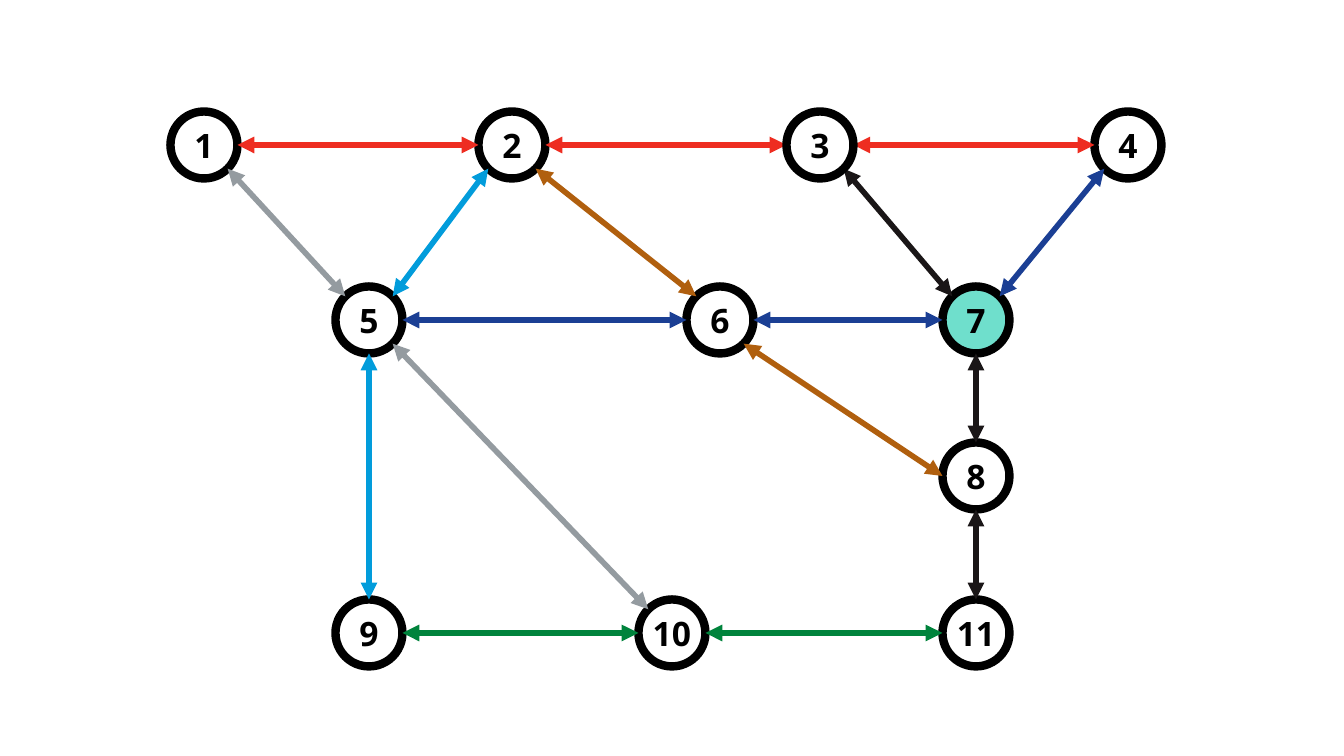
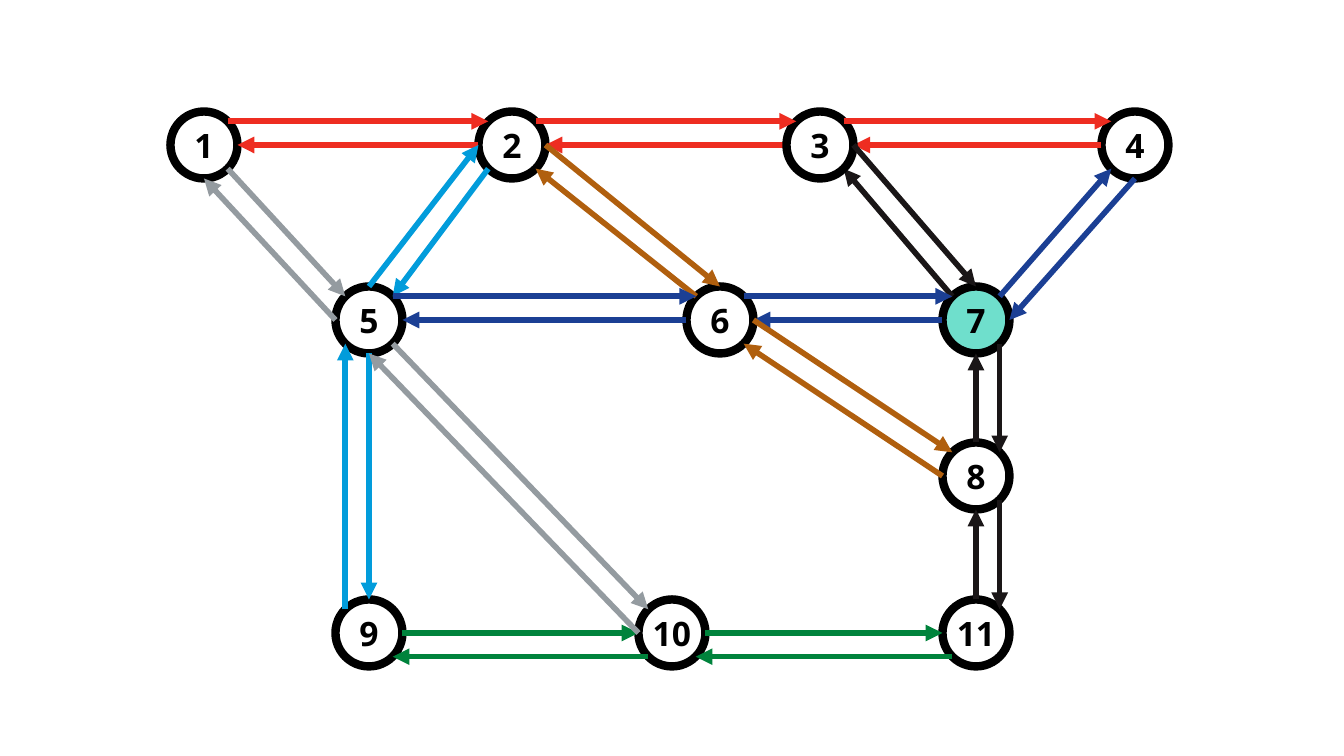
from math import cos, radians, sin

from lxml.etree import SubElement
from pptx import Presentation
from pptx.dml.color import RGBColor
from pptx.enum.shapes import MSO_CONNECTOR, MSO_SHAPE
from pptx.enum.text import MSO_ANCHOR, PP_ALIGN
from pptx.oxml.ns import qn
from pptx.util import Pt

RED = RGBColor(0xEE, 0x2D, 0x21)
GRAY = RGBColor(0x94, 0x9B, 0xA0)
SKY = RGBColor(0x02, 0x9C, 0xDB)
NAVY = RGBColor(0x1B, 0x3F, 0x94)
GREEN = RGBColor(0x00, 0x83, 0x3C)
CHARCOAL = RGBColor(0x1A, 0x16, 0x17)
BROWN = RGBColor(0xB0, 0x5F, 0x0E)
TEAL = RGBColor(0x6F, 0xDF, 0xCC)
WHITE = RGBColor(0xFF, 0xFF, 0xFF)
BLACK = RGBColor(0x00, 0x00, 0x00)
FONT = "Open Sans"

# Station centres in pixels
STATIONS = {
    1: (204, 145), 2: (512, 145), 3: (820, 145), 4: (1128, 145),
    5: (369, 320), 6: (720, 320), 7: (976, 320), 8: (976, 476),
    9: (369, 633), 10: (672, 633), 11: (976, 633),
}
WIDER_STATIONS = {**STATIONS, 4: (1135, 145)}
HIGHLIGHTED = 7
RAISED = 3  # lies above the main lanes

# Start, end, colour, main lane (start to end), return lane (end to start)
ROUTES = [
    (2, 1, RED, ("W", "E"), ("NE", "NW")),
    (3, 2, RED, ("W", "E"), ("NE", "NW")),
    (4, 3, RED, ("W", "E"), ("NE", "NW")),
    (1, 5, GRAY, ("SE", "NW"), ("W", "S")),
    (5, 10, GRAY, ("SE", "NW"), ("W", "S")),
    (2, 5, SKY, ("SW", "NE"), ("N", "W")),
    (5, 9, SKY, ("S", "N"), ("NW", "SW")),
    (6, 5, NAVY, ("W", "E"), ("NE", "NW")),
    (7, 6, NAVY, ("W", "E"), ("NE", "NW")),
    (9, 10, GREEN, ("E", "W"), ("SW", "SE")),
    (10, 11, GREEN, ("E", "W"), ("SW", "SE")),
    (11, 8, CHARCOAL, ("N", "S"), ("SE", "NE")),
    (8, 7, CHARCOAL, ("N", "S"), ("SE", "NE")),
    (7, 3, CHARCOAL, ("NW", "SE"), ("E", "N")),
    (7, 4, NAVY, ("NE", "SW"), ("S", "E")),
    (8, 6, BROWN, ("W", "SE"), ("E", "NW")),
    (6, 2, BROWN, ("NW", "SE"), ("E", "N")),
]

SLIDE_WIDTH, SLIDE_HEIGHT = 1344, 756
DIAMETER = 67
COMPASS = ("E", "SE", "S", "SW", "W", "NW", "N", "NE")
ANGLES = {site: radians(45 * step) for step, site in enumerate(COMPASS)}


def emu(pixels):
    """Turn pixels into EMU."""
    return round(pixels * 914400 / 100.8)


def rim_point(centre, site):
    """Return the point of a station's rim in a compass direction, in EMU."""
    x, y = centre
    angle = ANGLES[site]
    return emu(x + DIAMETER / 2 * cos(angle)), emu(y + DIAMETER / 2 * sin(angle))


def add_station(slide, number, centre):
    """Draw a numbered circle around its centre."""
    left, top = (emu(value - DIAMETER / 2) for value in centre)
    shape = slide.shapes.add_shape(
        MSO_SHAPE.OVAL, left, top, emu(DIAMETER), emu(DIAMETER))
    shape.shadow.inherit = False
    shape.fill.solid()
    shape.fill.fore_color.rgb = TEAL if number == HIGHLIGHTED else WHITE
    shape.line.color.rgb = BLACK
    shape.line.width = Pt(6)
    frame = shape.text_frame
    frame.text = str(number)
    frame.word_wrap = False
    frame.vertical_anchor = MSO_ANCHOR.MIDDLE
    frame.margin_left = frame.margin_right = 0
    paragraph = frame.paragraphs[0]
    paragraph.alignment = PP_ALIGN.CENTER
    font = paragraph.runs[0].font
    font.name, font.size, font.bold = FONT, Pt(24), True
    font.color.rgb = BLACK


def add_arrow(slide, begin, end, color, two_way=False):
    """Draw an arrow to its end point, or to both points if two-way."""
    connector = slide.shapes.add_connector(MSO_CONNECTOR.STRAIGHT, *begin, *end)
    connector.line.color.rgb = color
    connector.line.width = Pt(4)
    line = connector.line._get_or_add_ln()
    for tag in ("a:headEnd", "a:tailEnd") if two_way else ("a:tailEnd",):
        SubElement(line, qn(tag)).set("type", "triangle")
    SubElement(connector._element.spPr, qn("a:effectLst"))


def add_network(presentation, stations, two_way):
    """Add a slide with one two-way arrow or two one-way arrows per route."""
    slide = presentation.slides.add_slide(presentation.slide_layouts[6])
    for number, centre in stations.items():
        if number != RAISED:
            add_station(slide, number, centre)
    for start, end, color, (leave, arrive), _ in ROUTES:
        add_arrow(slide, rim_point(stations[start], leave),
                  rim_point(stations[end], arrive), color, two_way)
    add_station(slide, RAISED, stations[RAISED])
    if two_way:
        return
    for start, end, color, _, (leave, arrive) in ROUTES:
        add_arrow(slide, rim_point(stations[end], leave),
                  rim_point(stations[start], arrive), color)


presentation = Presentation()
presentation.slide_width = emu(SLIDE_WIDTH)
presentation.slide_height = emu(SLIDE_HEIGHT)
add_network(presentation, STATIONS, two_way=True)
add_network(presentation, WIDER_STATIONS, two_way=False)
presentation.save("out.pptx")
